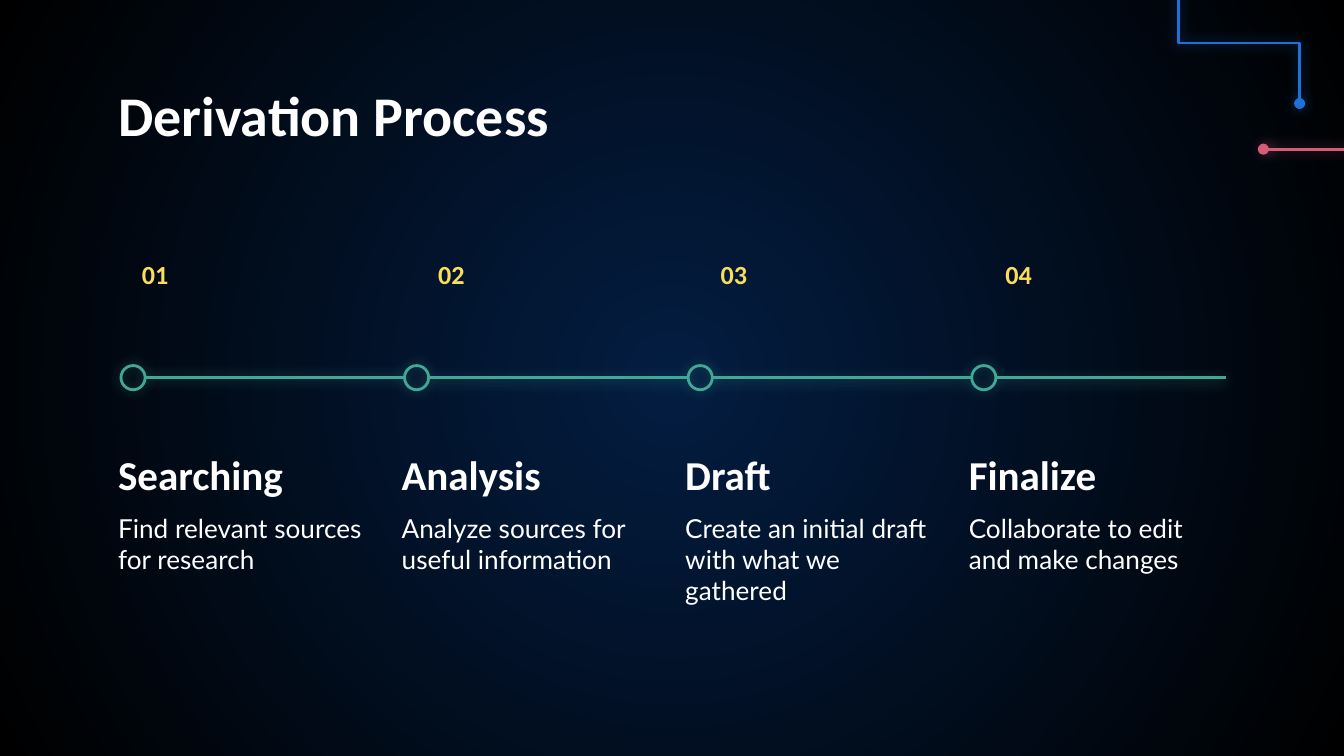
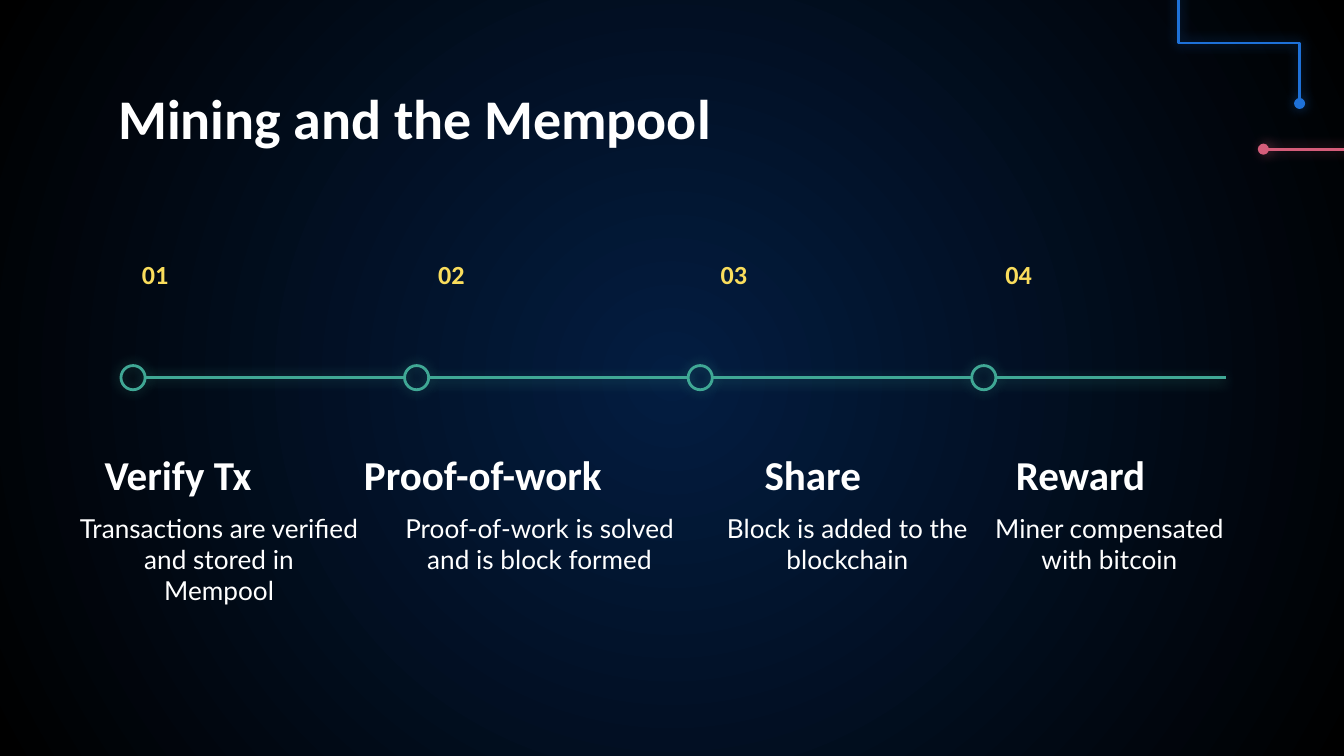
from dataclasses import dataclass

from lxml.etree import SubElement
from pptx import Presentation
from pptx.dml.color import RGBColor
from pptx.enum.shapes import MSO_CONNECTOR as CONN, MSO_SHAPE as SHAPE
from pptx.enum.text import MSO_ANCHOR as ANCHOR, MSO_AUTO_SIZE as FIT, PP_ALIGN as ALIGN
from pptx.oxml.ns import qn
from pptx.util import Inches, Pt


@dataclass(frozen=True)
class Theme:
    navy: str = "031D41"
    black: str = "000000"
    white: str = "FFFFFF"
    blue: str = "1E71D8"
    pink: str = "D55D7A"
    teal: str = "40A895"
    yellow: str = "FADD5C"
    head_font: str = "Calibri"
    body_font: str = "Lato"
    title_size: int = 30
    heading_size: int = 22
    body_size: int = 14
    stroke: float = 1.5


@dataclass(frozen=True)
class Step:
    heading: str
    heading_box: tuple  # left, width
    body: str
    body_box: tuple  # left, width


# Timeline geometry, in inches
PITCH = 2.11
COLUMN = 0.78
DOT_LEFT, DOT_TOP, DOT = 0.9, 2.72, 0.18
AXIS_Y, AXIS_END = 2.81, 9.12
NUMBER_WIDTHS = (0.51, 0.7, 0.68, 0.7)


def set_all(obj, values):
    for name, value in values.items():
        setattr(obj, name, value)


class Deck:
    def __init__(self, theme):
        self.theme = theme
        self.prs = prs = Presentation()
        set_all(prs, {"slide_width": Inches(10), "slide_height": Inches(10) * 9 // 16})
        self.layout = prs.slide_layouts.get_by_name("Title Only")
        self.slide = None
        for ph in list(self.layout.placeholders)[1:]:
            ph.element.getparent().remove(ph.element)
        self.background()

    def background(self):
        """Radial gradient shared by every slide."""
        master = self.prs.slide_master
        fill = master.background.fill
        fill.gradient()
        for stop, color in zip(fill.gradient_stops, (self.theme.navy, self.theme.black)):
            stop.color.rgb = RGBColor.from_string(color)
        grad = next(master.element.iter(qn("a:gradFill")))
        grad.remove(grad.find(qn("a:lin")))
        circle = SubElement(grad, qn("a:path"), {"path": "circle"})
        SubElement(circle, qn("a:fillToRect"), dict.fromkeys("ltrb", "50000"))

    def new_slide(self):
        self.slide = self.prs.slides.add_slide(self.layout)

    def to_layout(self, *shapes):
        for sp in shapes:
            self.layout.shapes.element.append(sp.element)

    def glow(self, sp, color, dist=0.0, angle=0):
        """Soft coloured shadow around a stroke."""
        spPr = sp.element.spPr
        for old in spPr.findall(qn("a:effectLst")):
            spPr.remove(old)
        effects = SubElement(spPr, qn("a:effectLst"))
        shadow = SubElement(effects, qn("a:outerShdw"), blurRad=str(Pt(6.75)),
                            dist=str(Pt(dist)), dir=str(angle * 60000),
                            algn="bl", rotWithShape="0")
        rgb = SubElement(shadow, qn("a:srgbClr"), val=color)
        SubElement(rgb, qn("a:alpha"), val="50000")

    def stroke(self, sp, color):
        sp.line.width = Pt(self.theme.stroke)
        sp.line.color.rgb = RGBColor.from_string(color)

    def connector(self, kind, start, end, color, dist=0.0, angle=0, ovals=False):
        c = self.slide.shapes.add_connector(kind, *map(Inches, start + end))
        self.stroke(c, color)
        if ovals:
            ln = c.element.spPr.find(qn("a:ln"))
            for tag in ("a:headEnd", "a:tailEnd"):
                SubElement(ln, qn(tag), type="oval", w="med", len="med")
        self.glow(c, color, dist, angle)
        return c

    def ring(self, left, top, size, color):
        sp = self.slide.shapes.add_shape(SHAPE.OVAL, *map(Inches, (left, top, size, size)))
        sp.shadow.inherit = False
        sp.fill.background()
        self.stroke(sp, color)
        self.glow(sp, color)

    def put_text(self, sp, text, font, size, color, bold=False, align=ALIGN.LEFT,
                 anchor=ANCHOR.TOP, pad=0.1):
        tf = sp.text_frame
        set_all(tf, {"word_wrap": True, "auto_size": FIT.NONE, "vertical_anchor": anchor,
                     "margin_left": Inches(0.1), "margin_right": Inches(0.1),
                     "margin_top": Inches(pad), "margin_bottom": Inches(pad)})
        p = tf.paragraphs[0]
        p.text = text
        p.alignment = align
        for r in p.runs:
            set_all(r.font, {"name": font, "size": Pt(size), "bold": bold})
            r.font.color.rgb = RGBColor.from_string(color)

    def title(self, text, top):
        t, sp = self.theme, self.slide.shapes.title
        set_all(sp, {"left": Inches(COLUMN), "top": Inches(top),
                     "width": Inches(8.44), "height": Inches(0.52)})
        self.put_text(sp, text, t.head_font, t.title_size, t.white, True,
                      anchor=ANCHOR.MIDDLE)

    def text(self, box, *args, **style):
        sp = self.slide.shapes.add_textbox(*map(Inches, box))
        self.put_text(sp, *args, **style)
        return sp

    def number(self, box, text):
        """Step number with an outline in its own colour."""
        t = self.theme
        sp = self.text(box, text, t.head_font, t.body_size, t.yellow, bold=True,
                       align=ALIGN.CENTER, pad=0.05)
        rPr = next(sp.element.iter(qn("a:rPr")))
        ln = SubElement(rPr, qn("a:ln"), w=str(Pt(t.stroke)))
        fill = SubElement(ln, qn("a:solidFill"))
        SubElement(fill, qn("a:srgbClr"), val=t.yellow)
        rPr.insert(0, ln)

    def circuit(self):
        """Corner decoration, kept on the layout."""
        t = self.theme
        bent = self.connector(CONN.ELBOW, (8.77, -0.13), (9.67, 0.77), t.blue, ovals=True)
        xfrm = bent.element.spPr.find(qn("a:xfrm"))
        for name, value in {"rot": str(270 * 60000), "flipH": "1"}.items():
            xfrm.set(name, value)
        flat = self.connector(CONN.STRAIGHT, (9.4, 1.11), (10.9, 1.11), t.pink, 1.5, ovals=True)
        self.to_layout(bent, flat)

    def timeline(self, steps, align):
        t = self.theme
        for i, (step, width) in enumerate(zip(steps, NUMBER_WIDTHS)):
            left = DOT_LEFT + i * PITCH
            end = left + PITCH if i < len(steps) - 1 else AXIS_END
            self.number((left, 1.87, width, 0.32), f"{i + 1:02}")
            self.ring(left, DOT_TOP, DOT, t.teal)
            drop = (1.5, 90) if i else (0, 0)
            self.connector(CONN.STRAIGHT, (left + DOT, AXIS_Y), (end, AXIS_Y), t.teal, *drop)
            x, w = step.heading_box
            self.text((x, 3.35, w, 0.36), step.heading, t.head_font, t.heading_size,
                      t.white, bold=True, anchor=ANCHOR.MIDDLE)
            x, w = step.body_box
            self.text((x, 3.71, w, 0.69), step.body, t.body_font, t.body_size,
                      t.white, align=align)


DERIVATION = (
    ("Searching", "Find relevant sources for research"),
    ("Analysis", "Analyze sources for useful information"),
    ("Draft", "Create an initial draft with what we gathered"),
    ("Finalize", "Collaborate to edit and make changes"),
)

MINING = (
    Step("Verify Tx", (0.68, PITCH),
         "Transactions are verified\vand stored in\vMempool", (0.47, 2.32)),
    Step("Proof-of-work", (2.61, 2.99),
         "Proof-of-work is solved and is block formed", (2.89, 2.25)),
    Step("Share", (5.59, PITCH), "Block is added to the blockchain", (5.25, PITCH)),
    Step("Reward", (7.46, PITCH), "Miner compensated with bitcoin", (7.2, PITCH)),
)


def main():
    deck = Deck(Theme())

    # Derivation process: text aligned to even columns
    deck.new_slide()
    deck.circuit()
    deck.title("Derivation Process", 0.59)
    columns = [(COLUMN + i * PITCH, PITCH) for i in range(len(DERIVATION))]
    deck.timeline([Step(head, col, body, col)
                   for (head, body), col in zip(DERIVATION, columns)], ALIGN.LEFT)

    # Mining: centred text
    deck.new_slide()
    deck.title("Mining and the Mempool", 0.61)
    deck.timeline(MINING, ALIGN.CENTER)

    deck.prs.save("out.pptx")


if __name__ == "__main__":
    main()
